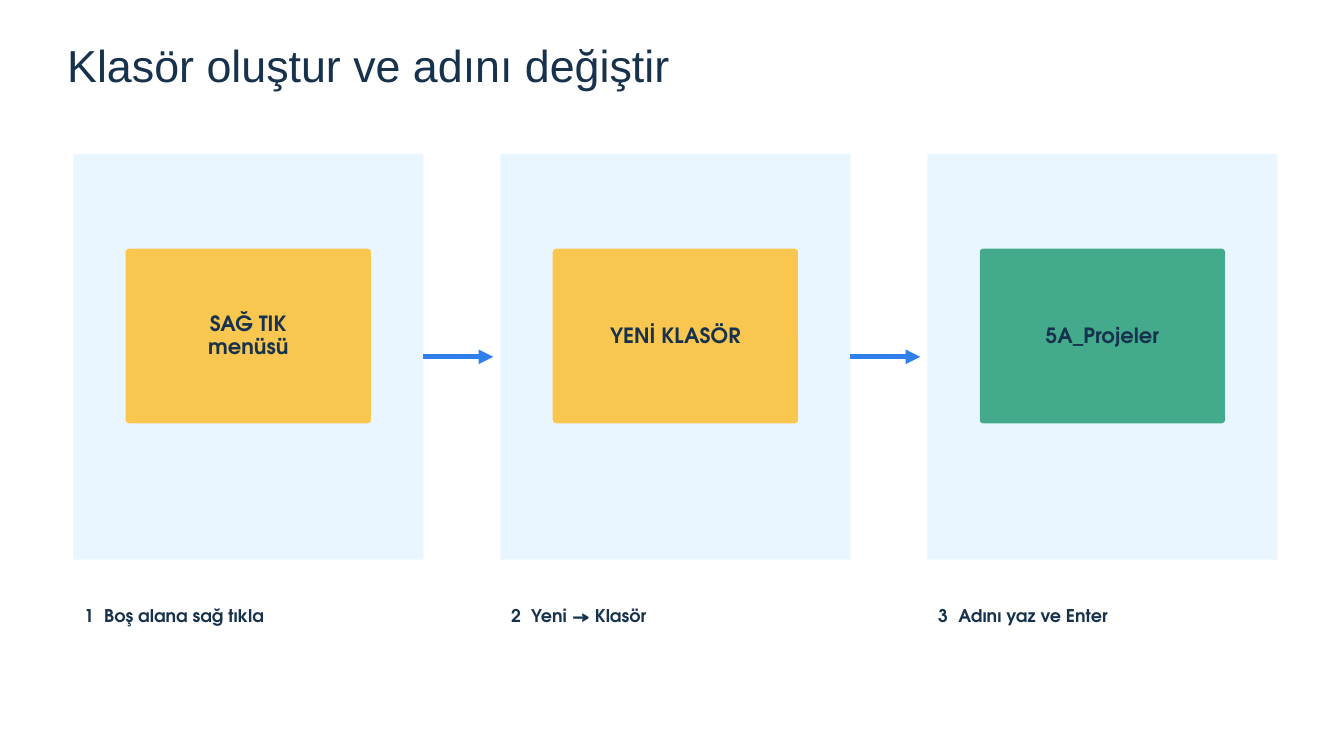
from dataclasses import dataclass
from lxml.etree import SubElement
from pptx import Presentation
from pptx.dml.color import RGBColor
from pptx.enum.shapes import MSO_CONNECTOR, MSO_SHAPE
from pptx.enum.text import MSO_ANCHOR, PP_ALIGN
from pptx.oxml.ns import qn
from pptx.util import Inches, Pt


@dataclass(frozen=True)
class Theme:
    ink: str = "17324D"
    panel: str = "EAF6FF"
    gold: str = "F9C74F"
    green: str = "43AA8B"
    arrow: str = "2F80ED"
    head: str = "Arial"
    body: str = "TeX Gyre Adventor"
    title: float = 48
    label: float = 22.5
    note: float = 18.8


class Deck:
    def __init__(self, theme, slide):
        self.theme = theme
        self.slide = slide

    def style(self, frame, text, font, size, lead, bold=True, align=PP_ALIGN.LEFT, pad=0):
        frame.word_wrap = True
        frame.margin_left = frame.margin_right = Inches(pad)
        frame.margin_top = frame.margin_bottom = Inches(pad)
        frame.text = text
        for para in frame.paragraphs:
            para.alignment = align
            para.line_spacing = Pt(lead)
            for run in para.runs:
                run.font.name = font
                run.font.size = Pt(size)
                run.font.bold = bold
                run.font.color.rgb = RGBColor.from_string(self.theme.ink)

    def box(self, kind, left, top, width, height, color):
        shape = self.slide.shapes.add_shape(
            kind, Inches(left), Inches(top), Inches(width), Inches(height))
        shape.shadow.inherit = False
        shape.fill.solid()
        shape.fill.fore_color.rgb = RGBColor.from_string(color)
        shape.line.fill.background()
        return shape

    def panel(self, left, top, width, height):
        return self.box(MSO_SHAPE.RECTANGLE, left, top, width, height, self.theme.panel)

    def card(self, left, top, width, height, color, text):
        shape = self.box(MSO_SHAPE.ROUNDED_RECTANGLE, left, top, width, height, color)
        shape.adjustments[0] = 0.02
        shape.text_frame.vertical_anchor = MSO_ANCHOR.MIDDLE
        self.style(shape.text_frame, text, self.theme.body, self.theme.label, 24.8,
                   align=PP_ALIGN.CENTER, pad=0.06)

    def text(self, left, top, width, height):
        return self.slide.shapes.add_textbox(
            Inches(left), Inches(top), Inches(width), Inches(height)).text_frame

    def title(self, text):
        frame = self.text(1, 0.66, 15.62, 0.71)
        self.style(frame, text, self.theme.head, self.theme.title, 50.4, bold=False)

    def note(self, left, top, number, text):
        frame = self.text(left, top, 4.79, 0.3)
        self.style(frame, f"{number}\t{text}", self.theme.body, self.theme.note, 21.6)
        props = frame.paragraphs[0]._p.get_or_add_pPr()
        tabs = SubElement(props, qn("a:tabLst"))
        SubElement(tabs, qn("a:tab"), pos=str(Inches(0.3)), algn="l")

    def arrow(self, start, left, right, y):
        link = self.slide.shapes.add_connector(
            MSO_CONNECTOR.STRAIGHT, Inches(left), Inches(y), Inches(right), Inches(y))
        link.begin_connect(start, 3)
        link.line.color.rgb = RGBColor.from_string(self.theme.arrow)
        link.line.width = Pt(5.25)
        SubElement(link.line._get_or_add_ln(), qn("a:tailEnd"), type="triangle")
        SubElement(link._element.spPr, qn("a:effectLst"))


def main():
    show = Presentation()
    show.slide_width, show.slide_height = Inches(20), Inches(11.25)
    theme = Theme()
    deck = Deck(theme, show.slides.add_slide(show.slide_layouts[6]))

    deck.title("Klasör oluştur ve adını değiştir")
    steps = [
        ("SAĞ TIK\nmenüsü", theme.gold, "Boş alana sağ tıkla"),
        ("YENİ KLASÖR", theme.gold, "Yeni → Klasör"),
        ("5A_Projeler", theme.green, "Adını yaz ve Enter"),
    ]
    first, last, top, width, height = 1.09, 13.8, 2.29, 5.21, 6.04
    pitch = (last - first) / (len(steps) - 1)
    for index, (label, color, note) in enumerate(steps):
        left = first + index * pitch
        panel = deck.panel(left, top, width, height)
        deck.card(left + 0.78, 3.7, 3.65, 2.6, color, label)
        deck.note(left + 0.16, 9.01, index + 1, note)
        if index < len(steps) - 1:
            edge = left + width
            deck.arrow(panel, edge, edge + 1.04, top + height / 2)

    show.save("out.pptx")


if __name__ == "__main__":
    main()
